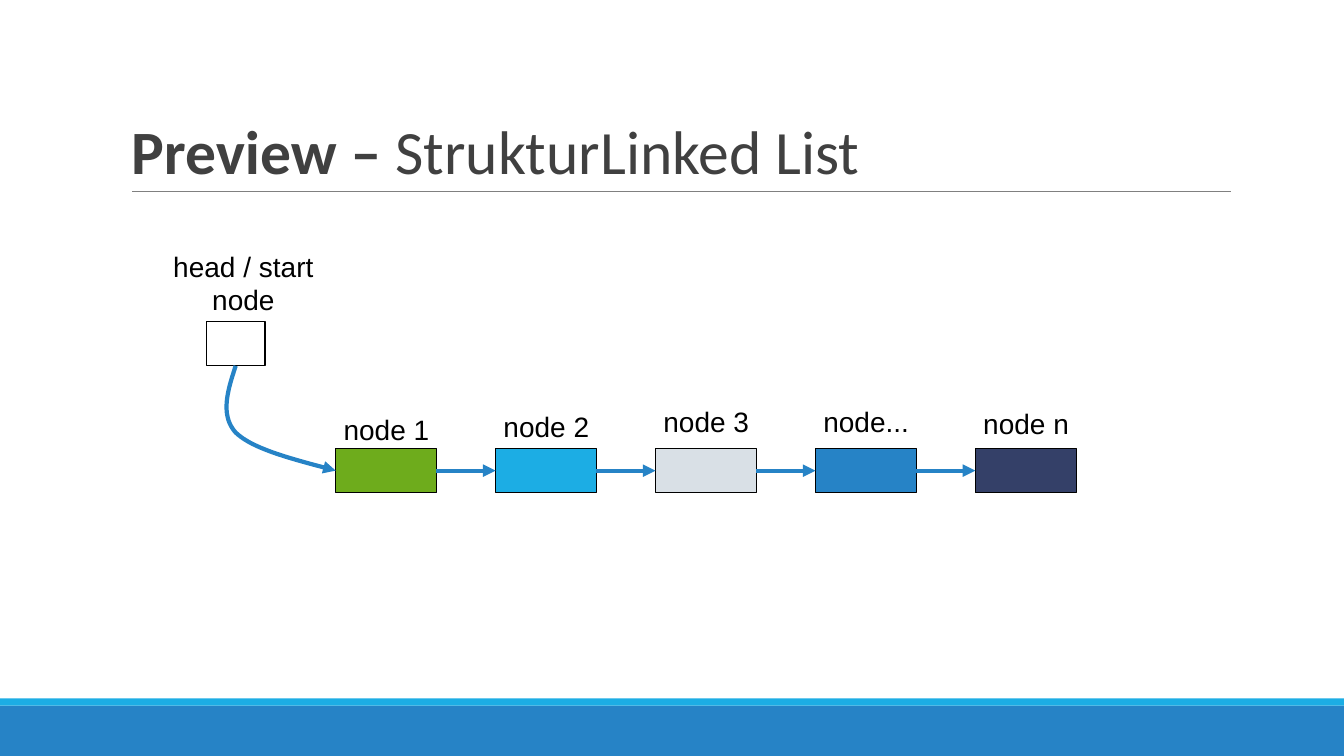
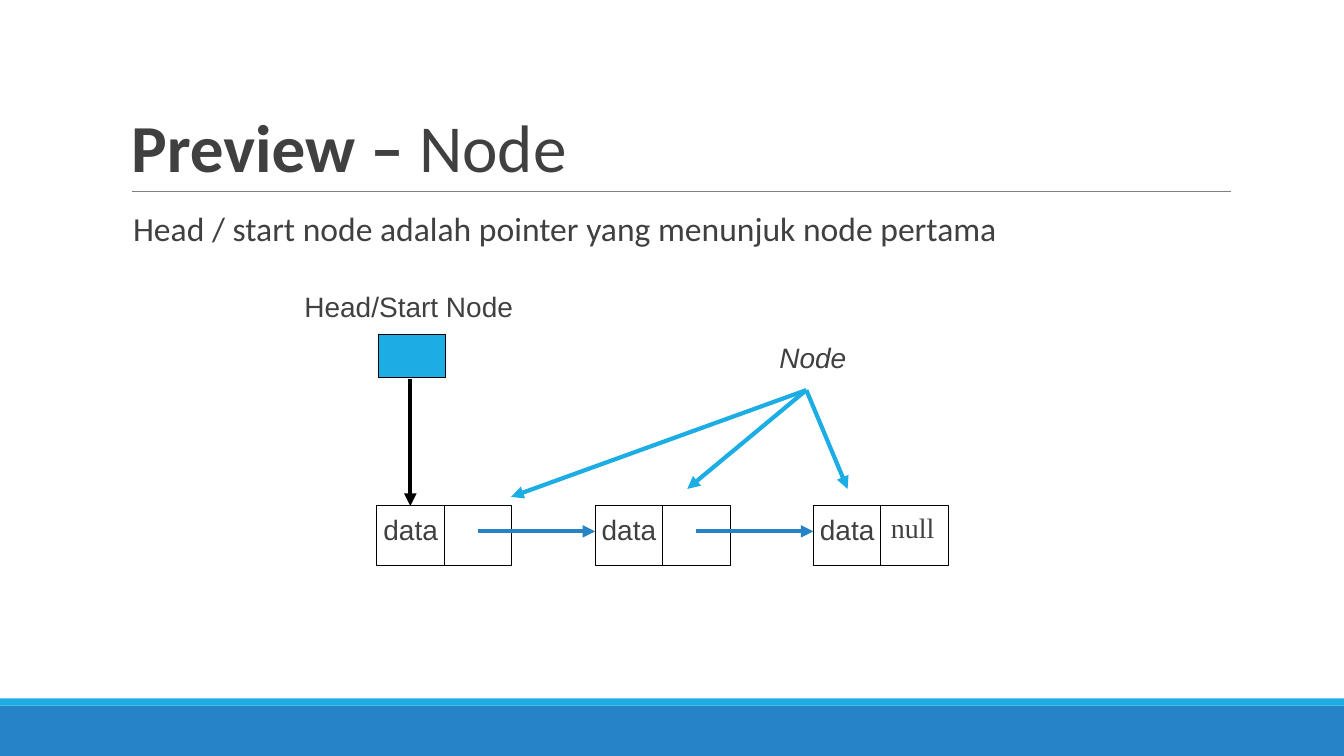
from dataclasses import dataclass
from typing import NamedTuple

from lxml import etree
from pptx import Presentation
from pptx.dml.color import RGBColor
from pptx.enum.shapes import MSO_CONNECTOR, MSO_SHAPE
from pptx.enum.text import MSO_ANCHOR, MSO_AUTO_SIZE, PP_ALIGN
from pptx.oxml.ns import qn
from pptx.util import Cm, Pt

RECTANGLE = MSO_SHAPE.RECTANGLE
STRAIGHT = MSO_CONNECTOR.STRAIGHT
LEFT, CENTER = PP_ALIGN.LEFT, PP_ALIGN.CENTER
TOP, MIDDLE, BOTTOM = MSO_ANCHOR.TOP, MSO_ANCHOR.MIDDLE, MSO_ANCHOR.BOTTOM
FIXED = MSO_AUTO_SIZE.NONE
TITLE_AND_BODY, TITLE_ONLY = 1, 5


@dataclass(frozen=True)
class Theme:
    """Colours, fonts and sizes used throughout the deck."""
    blue: str = "2683C6"
    cyan: str = "1CADE4"
    green: str = "6EAC1C"
    pale: str = "D9E0E6"
    navy: str = "344068"
    black: str = "000000"
    ink: str = "404040"
    rule: str = "808080"
    heading_font: str = "Calibri"
    label_font: str = "Arial"
    null_font: str = "Times New Roman"
    label_size: float = 20
    body_size: float = 24
    outline: float = 0.75
    hairline: float = 0.5
    arrow: float = 3


class Frame(NamedTuple):
    """A rectangle in centimetres."""
    left: float
    top: float
    width: float
    height: float


class Point(NamedTuple):
    """A place in centimetres."""
    x: float
    y: float


@dataclass(frozen=True)
class ListNode:
    """A coloured node and the top of its label."""
    label: str
    color: str
    label_top: float


THEME = Theme()
PAGE_SIZE = (33.87, 19.05)
TITLE_FRAME = Frame(3.05, 0.79, 27.94, 4.04)


def write(para, text, *, font=THEME.label_font, size=THEME.label_size,
          color=THEME.ink, bold=False, italic=False):
    """Add a formatted span to a paragraph and return it."""
    span = para.add_run()
    span.text = text
    span.font.name, span.font.size = font, Pt(size)
    span.font.bold, span.font.italic = bold, italic
    span.font.color.rgb = RGBColor.from_string(color)
    return span


def place(shape, frame: Frame) -> None:
    """Move a placeholder to a frame."""
    shape.left, shape.top, shape.width, shape.height = map(Cm, frame)


def add_box(page, frame: Frame, fill=None, outline=THEME.black):
    """Draw a rectangle, optionally filled and outlined."""
    box = page.shapes.add_shape(RECTANGLE, *map(Cm, frame))
    box.shadow.inherit = False
    if fill:
        box.fill.solid()
        box.fill.fore_color.rgb = RGBColor.from_string(fill)
    else:
        box.fill.background()
    if outline:
        box.line.color.rgb = RGBColor.from_string(outline)
        box.line.width = Pt(THEME.outline)
    else:
        box.line.fill.background()
    return box


def add_label(page, frame: Frame, text: str, *, align=CENTER, **style) -> None:
    """Write a free-standing label."""
    frame_text = page.shapes.add_textbox(*map(Cm, frame)).text_frame
    frame_text.word_wrap = True
    para = frame_text.paragraphs[0]
    para.alignment = align
    write(para, text, **style)


def style_line(shape, color: str, width: float, arrow: bool) -> None:
    """Set the stroke of a line and its arrowhead."""
    shape.line.color.rgb = RGBColor.from_string(color)
    shape.line.width = Pt(width)
    if arrow:
        stroke = shape.element.spPr.find(qn("a:ln"))
        etree.SubElement(stroke, qn("a:tailEnd"), type="triangle")


def add_line(page, start: Point, end: Point, color=THEME.blue,
             width=THEME.arrow, arrow=True):
    """Draw a straight line, by default with an arrowhead."""
    line = page.shapes.add_connector(STRAIGHT, *map(Cm, (*start, *end)))
    style_line(line, color, width, arrow)
    etree.SubElement(line.element.spPr, qn("a:effectLst"))
    return line


def bezier(corners: list[Point], steps: int = 24) -> list[Point]:
    """Return points along a cubic curve, after its start."""
    points = []
    for step in range(1, steps + 1):
        t = step / steps
        weights = ((1 - t) ** 3, 3 * t * (1 - t) ** 2,
                   3 * t ** 2 * (1 - t), t ** 3)
        points.append(Point(
            sum(weight * corner.x for weight, corner in zip(weights, corners)),
            sum(weight * corner.y for weight, corner in zip(weights, corners))))
    return points


def add_curved_arrow(page, corners: list[Point]) -> None:
    """Draw an arrow along joined cubic curves."""
    builder = page.shapes.build_freeform(*map(Cm, corners[0]))
    for first in range(0, len(corners) - 1, 3):
        points = bezier(corners[first:first + 4])
        builder.add_line_segments([(Cm(x), Cm(y)) for x, y in points],
                                  close=False)
    curve = builder.convert_to_shape()
    curve.shadow.inherit = False
    curve.fill.background()
    style_line(curve, THEME.blue, THEME.arrow, True)


def add_page(deck, layout: int, topic: str, size: float):
    """Add a slide with the shared title style."""
    page = deck.slides.add_slide(deck.slide_layouts[layout])
    title = page.shapes.title
    place(title, TITLE_FRAME)
    title.text_frame.auto_size = FIXED
    title.text_frame.vertical_anchor = BOTTOM
    para = title.text_frame.paragraphs[0]
    para.alignment, para.line_spacing = LEFT, 0.85
    for text, bold in (("Preview – ", True), (topic, False)):
        span = write(para, text, font=THEME.heading_font, size=size, bold=bold)
        span.font.element.set("spc", "-50") if hasattr(
            span.font, "element") else span.text and para.runs[-1].font
    return page


def decorate_master(deck, page) -> None:
    """Put the bands and the title rule on the slide master."""
    width, height = PAGE_SIZE
    parts = (
        add_box(page, Frame(0, 17.78, width, height - 17.78), THEME.blue, None),
        add_box(page, Frame(0, 17.6, width, 0.18), THEME.cyan, None),
        add_line(page, Point(3.33, 4.83), Point(31.01, 4.83), THEME.rule,
                 THEME.hairline, arrow=False),
    )
    for part in parts:
        deck.slide_master.shapes.element.append(part.element)


def draw_structure(page) -> None:
    """Draw the chain of named nodes and its head."""
    nodes = (ListNode("node 1", THEME.green, 10.26),
             ListNode("node 2", THEME.cyan, 10.19),
             ListNode("node 3", THEME.pale, 10.08),
             ListNode("node...", THEME.blue, 10.08),
             ListNode("node n", THEME.navy, 10.13))
    first, pitch, width, top, height = 8.46, 4.03, 2.54, 11.3, 1.12
    middle = top + height / 2
    for index, node in enumerate(nodes):
        left = first + index * pitch
        add_box(page, Frame(left, top, width, height), node.color)
        add_label(page, Frame(left - 0.18, node.label_top, 2.92, 1.12),
                  node.label, color=THEME.black)
        if index:
            add_line(page, Point(left - pitch + width, middle),
                     Point(left, middle))
    add_label(page, Frame(4.04, 6.15, 4.19, 1.96), "head / start node",
              color=THEME.black)
    add_box(page, Frame(5.21, 8.1, 1.47, height))
    add_curved_arrow(page, [
        Point(5.94, 9.22), Point(5.74, 9.83), Point(5.54, 10.46),
        Point(5.94, 10.9), Point(6.38, 11.33), Point(7.42, 11.58),
        Point(first, middle)])


def write_body(page, text: str) -> None:
    """Fill the body placeholder with one unbulleted line."""
    body = page.placeholders[1]
    place(body, Frame(3.1, 5.11, 22.48, 1.27))
    body.text_frame.auto_size = FIXED
    body.text_frame.word_wrap = False
    body.text_frame.vertical_anchor = TOP
    para = body.text_frame.paragraphs[0]
    para.alignment, para.space_before = LEFT, Pt(0)
    write(para, text, font=THEME.heading_font, size=THEME.body_size)
    settings = para.runs[0].font and body.element.find(".//" + qn("a:pPr"))
    settings.set("marL", "0")
    settings.set("indent", "0")
    etree.SubElement(settings, qn("a:buNone"))


def draw_node_parts(page) -> None:
    """Draw three nodes, each with a data cell and a pointer cell."""
    first, pitch, cell, top, height, count = 9.5, 5.5, 1.7, 12.75, 1.5, 3
    for index in range(count):
        left = first + index * pitch
        add_box(page, Frame(left + cell, top, cell, height))
        data = add_box(page, Frame(left, top, cell, height)).text_frame
        data.margin_left = data.margin_right = data.margin_top = 0
        data.margin_bottom = Cm(0.3)
        data.word_wrap = False
        data.vertical_anchor = MIDDLE
        data.paragraphs[0].alignment = CENTER
        write(data.paragraphs[0], "data")
    for index in range(count - 1):
        left = first + index * pitch
        add_line(page, Point(left + 1.5 * cell, 13.39),
                 Point(left + pitch, 13.39))
    add_label(page, Frame(22.2, top, 2.16, 1.12), "null", align=LEFT,
              font=THEME.null_font)
    add_label(page, Frame(7.42, 7.16, 7.44, 1.12), "Head/Start Node",
              align=LEFT)
    add_box(page, Frame(9.53, 8.43, cell, 1.09), THEME.cyan)
    add_line(page, Point(10.34, 9.55), Point(10.34, top), THEME.black)
    add_label(page, Frame(19.33, 8.46, 2.31, 1.09), "Node", italic=True)
    for target in (Point(12.88, 12.52), Point(17.32, 12.32),
                   Point(21.36, 12.32)):
        add_line(page, Point(20.32, 9.83), target, THEME.cyan)


def main() -> None:
    """Build and save the deck."""
    deck = Presentation()
    deck.slide_width, deck.slide_height = map(Cm, PAGE_SIZE)
    structure = add_page(deck, TITLE_ONLY, "StrukturLinked List", 44)
    decorate_master(deck, structure)
    draw_structure(structure)
    node_page = add_page(deck, TITLE_AND_BODY, "Node", 48)
    write_body(node_page,
               "Head / start node adalah pointer yang menunjuk node pertama")
    draw_node_parts(node_page)
    deck.save("out.pptx")


main()
